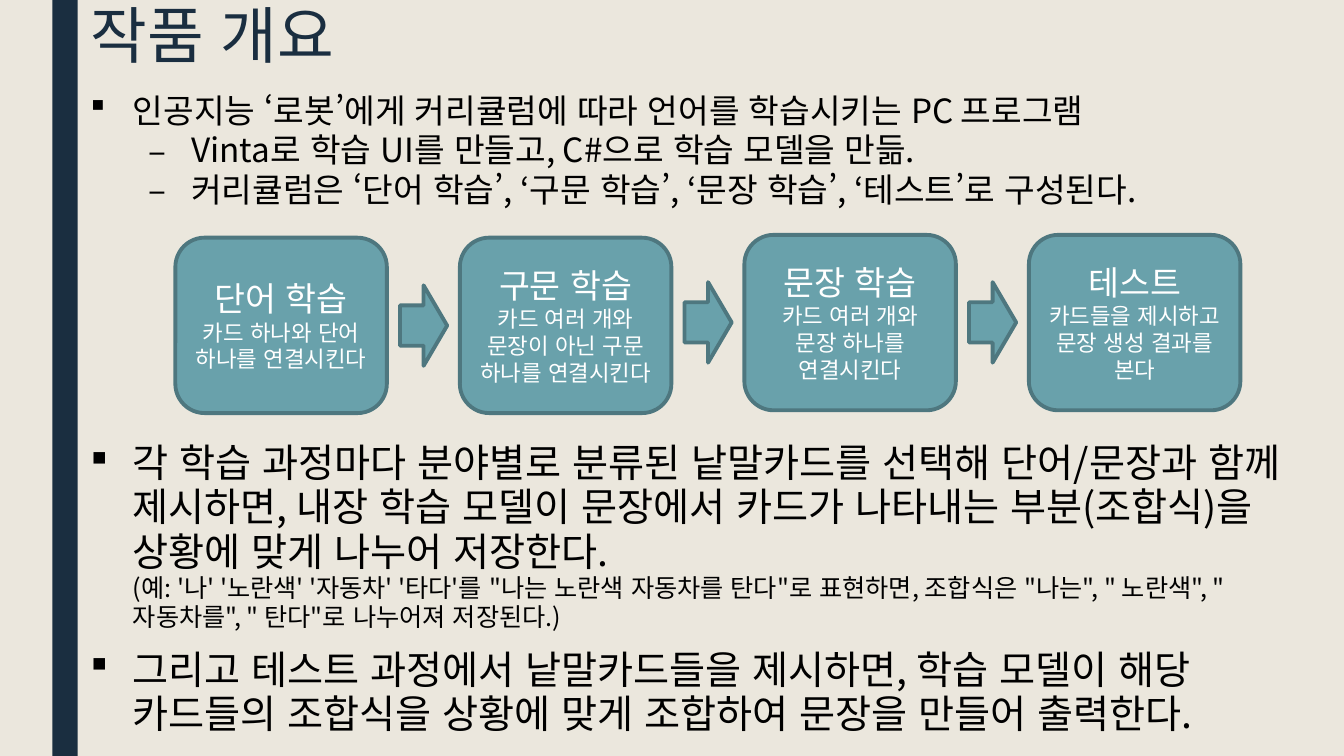
from lxml import etree
from pptx import Presentation
from pptx.dml.color import RGBColor
from pptx.enum.lang import MSO_LANGUAGE_ID
from pptx.enum.shapes import MSO_SHAPE
from pptx.enum.text import MSO_ANCHOR, PP_ALIGN
from pptx.oxml.ns import qn
from pptx.util import Cm, Pt

RECT = MSO_SHAPE.RECTANGLE
ROUND = MSO_SHAPE.ROUNDED_RECTANGLE
ARROW = MSO_SHAPE.RIGHT_ARROW
MIDDLE = MSO_ANCHOR.MIDDLE
CENTER = PP_ALIGN.CENTER
KOREAN = MSO_LANGUAGE_ID.KOREAN

FONT = "Noto Sans CJK KR"
SQUARE = ("§", "Wingdings")
DASH = ("–", FONT)
COLORS = {
    "back": "EBE7DD",
    "navy": "1A2E40",
    "teal": "69A1AB",
    "edge": "4E777F",
    "black": "000000",
    "white": "FFFFFF",
}
LEFT, WIDTH = 2.03, 31.12
STEP = 7.17

STAGES = [
    ("단어 학습", "카드 하나와 단어 하나를 연결시킨다", 5.99),
    ("구문 학습", "카드 여러 개와 문장이 아닌 구문 하나를 연결시킨다", 5.99),
    ("문장 학습", "카드 여러 개와 문장 하나를 연결시킨다", 5.92),
    ("테스트", "카드들을 제시하고 문장 생성 결과를 본다", 5.92),
]
ARROW_TOPS = [7.19, 7.11, 7.11]
INTRO = [
    (SQUARE, 1.07, "인공지능 ‘로봇’에게 커리큘럼에 따라 언어를 학습시키는 PC 프로그램"),
    (DASH, 2.54, "Vinta로 학습 UI를 만들고, C#으로 학습 모델을 만듦."),
    (DASH, 2.54, "커리큘럼은 ‘단어 학습’, ‘구문 학습’, ‘문장 학습’, ‘테스트’로 구성된다."),
]
METHOD = (
    "각 학습 과정마다 분야별로 분류된 낱말카드를 선택해 단어/문장과 함께 제시하면, "
    "내장 학습 모델이 문장에서 카드가 나타내는 부분(조합식)을 상황에 맞게 나누어 저장한다."
)
SAMPLE = (
    "(예: '나' '노란색' '자동차' '타다'를 \"나는 노란색 자동차를 탄다\"로 표현하면, "
    "조합식은 \"나는\", \" 노란색\", \" 자동차를\", \" 탄다\"로 나누어져 저장된다.)"
)
RESULT = (
    "그리고 테스트 과정에서 낱말카드들을 제시하면, 학습 모델이 해당 카드들의 "
    "조합식을 상황에 맞게 조합하여 문장을 만들어 출력한다."
)


def color(name):
    return RGBColor.from_string(COLORS[name])


def style(para, size, shade):
    font = para.font
    font.size = Pt(size)
    font.color.rgb = color(shade)
    font.name = FONT
    font.language_id = KOREAN
    props = para._p.pPr.find(qn("a:defRPr"))
    etree.SubElement(props, qn("a:ea"), typeface=FONT)


def bullet(para, mark, indent):
    char, face = mark
    props = para._p.get_or_add_pPr()
    props.set("marL", str(Cm(indent)))
    props.set("indent", str(-Cm(1.07)))
    etree.SubElement(props, qn("a:buFont"), typeface=face)
    etree.SubElement(props, qn("a:buChar"), char=char)


def space(para, lines, before, after):
    para.line_spacing = lines
    para.space_before = Pt(before)
    para.space_after = Pt(after)


def next_para(frame, first):
    return frame.paragraphs[0] if first else frame.add_paragraph()


def add_box(slide, top, height):
    box = slide.shapes.add_textbox(Cm(LEFT), Cm(top), Cm(WIDTH), Cm(height))
    box.text_frame.word_wrap = True
    return box.text_frame


def add_shape(slide, kind, left, top, width, height, fill, edge=None):
    shape = slide.shapes.add_shape(kind, Cm(left), Cm(top), Cm(width), Cm(height))
    shape.shadow.inherit = False
    shape.fill.solid()
    shape.fill.fore_color.rgb = color(fill)
    if edge:
        shape.line.color.rgb = color(edge)
        shape.line.width = Pt(2.75)
    else:
        shape.line.fill.background()
    return shape


def add_title(slide):
    frame = add_box(slide, 0, 1.93)
    frame.vertical_anchor = MIDDLE
    para = frame.paragraphs[0]
    para.text = "작품 개요"
    para.line_spacing = 0.89
    style(para, 44, "navy")


def add_intro(slide):
    frame = add_box(slide, 2.39, 3.15)
    for i, (mark, indent, text) in enumerate(INTRO):
        para = next_para(frame, i == 0)
        para.text = text
        para.level = 1 if i else 0
        bullet(para, mark, indent)
        space(para, 0.74, 5 if i else 0, 2)
        style(para, 23.8, "black")


def add_stage(slide, left, top, name, text):
    shape = add_shape(slide, ROUND, left, top, 5.33, 4.42, "teal", "edge")
    frame = shape.text_frame
    frame.word_wrap = True
    frame.vertical_anchor = MIDDLE
    for i, (words, size) in enumerate([(name, 24), (text, 16)]):
        para = next_para(frame, i == 0)
        para.text = words
        para.alignment = CENTER
        style(para, size, "white")


def add_flow(slide):
    for i, (name, text, top) in enumerate(STAGES):
        add_stage(slide, 4.42 + i * STEP, top, name, text)
    for i, top in enumerate(ARROW_TOPS):
        add_shape(slide, ARROW, 10.08 + i * STEP, top, 1.19, 2.03, "teal", "edge")


def add_detail(slide):
    frame = add_box(slide, 11.02, 8.28)
    for i, text in enumerate([METHOD, RESULT]):
        para = next_para(frame, i == 0)
        para.add_run().text = text
        bullet(para, SQUARE, 1.07)
        space(para, 0.94, 10 if i else 0, 2)
        style(para, 28, "black")
    para = frame.paragraphs[0]
    para.add_line_break()
    run = para.add_run()
    run.text = SAMPLE
    run.font.size = Pt(18)


def main():
    deck = Presentation()
    deck.slide_width, deck.slide_height = Cm(33.87), Cm(19.05)
    slide = deck.slides.add_slide(deck.slide_layouts[6])
    slide.background.fill.solid()
    slide.background.fill.fore_color.rgb = color("back")
    add_shape(slide, RECT, 1.32, 0, 0.64, 19.05, "navy")
    add_title(slide)
    add_intro(slide)
    add_flow(slide)
    add_detail(slide)
    deck.save("out.pptx")


if __name__ == "__main__":
    main()
